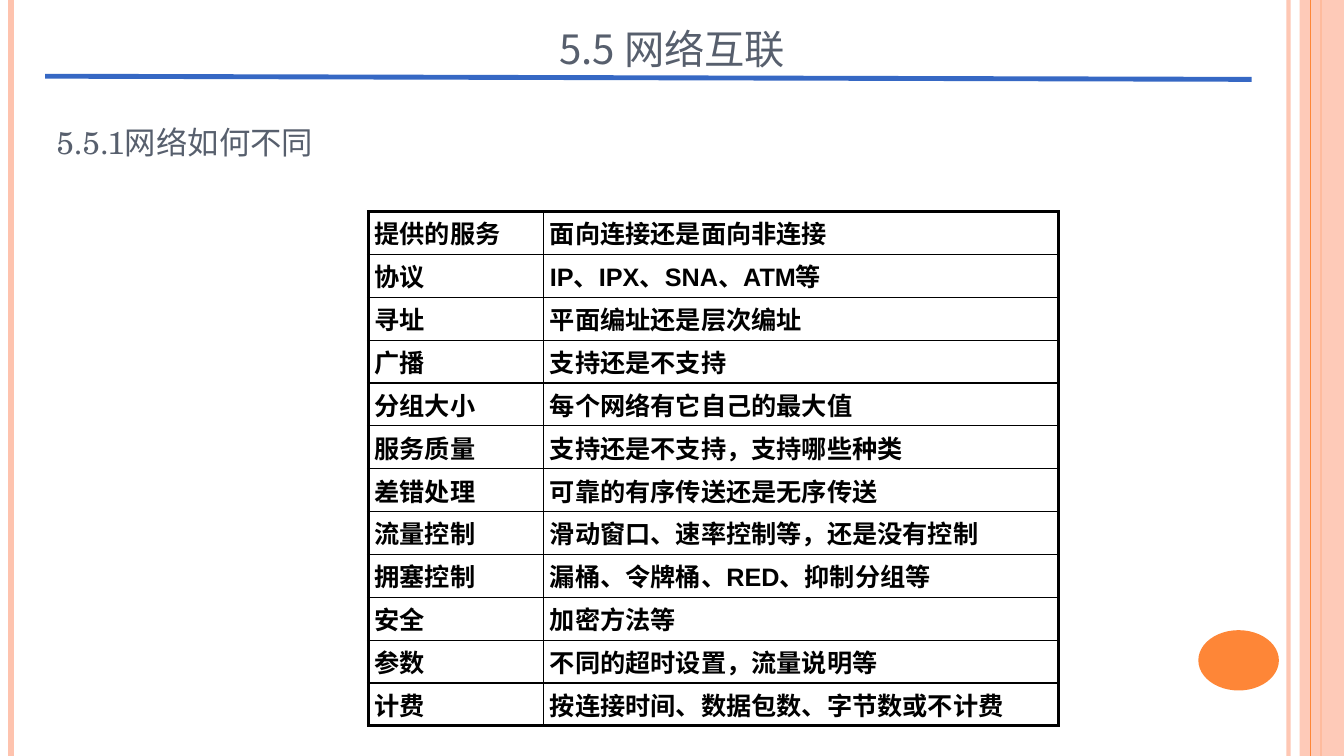
import pptx
import pptx.dml.color
import pptx.enum.shapes
import pptx.enum.text
import pptx.oxml.ns
import pptx.util
from lxml import etree
from pptx.util import Cm

COLOURS = {
    "pale": "FEC3AE",
    "orange": "FE8637",
    "heading": "575F6D",
    "rule": "3668C4",
    "black": "000000",
}
CHINESE_FONT = "Noto Sans CJK SC"
DIFFERENCES = [
    ("提供的服务", "面向连接还是面向非连接"),
    ("协议", "IP、IPX、SNA、ATM等"),
    ("寻址", "平面编址还是层次编址"),
    ("广播", "支持还是不支持"),
    ("分组大小", "每个网络有它自己的最大值"),
    ("服务质量", "支持还是不支持，支持哪些种类"),
    ("差错处理", "可靠的有序传送还是无序传送"),
    ("流量控制", "滑动窗口、速率控制等，还是没有控制"),
    ("拥塞控制", "漏桶、令牌桶、RED、抑制分组等"),
    ("安全", "加密方法等"),
    ("参数", "不同的超时设置，流量说明等"),
    ("计费", "按连接时间、数据包数、字节数或不计费"),
]


def add_xml(parent, tag, **attributes):
    return etree.SubElement(parent, pptx.oxml.ns.qn(tag), attributes)


def paint(colour_format, name):
    colour_format.rgb = pptx.dml.color.RGBColor.from_string(COLOURS[name])


def set_opacity(element, percent):
    for colour in element.iter(pptx.oxml.ns.qn("a:srgbClr")):
        add_xml(colour, "a:alpha", val=str(percent * 1000))


def add_span(para, text, size, font, colour, bold=False, small_caps=False):
    span = para.add_run()
    span.text = text
    span.font.size = pptx.util.Pt(size)
    span.font.name = font
    span.font.bold = bold
    paint(span.font.color, colour)
    properties = span._r.get_or_add_rPr()
    add_xml(properties, "a:ea", typeface=CHINESE_FONT)
    if small_caps:
        properties.set("cap", "small")


def add_line(page, start, end, colour, width):
    line = page.shapes.add_connector(
        pptx.enum.shapes.MSO_CONNECTOR.STRAIGHT, *map(Cm, start + end))
    paint(line.line.fill_format.color if hasattr(line.line, "fill_format")
          else line.line.color, colour)
    line.line.width = pptx.util.Pt(width)
    add_xml(line._element.spPr, "a:effectLst")
    return line


def add_plain_shape(page, kind, box, colour):
    shape = page.shapes.add_shape(kind, *map(Cm, box))
    shape.shadow.inherit = False
    shape.fill.solid()
    paint(shape.fill.fore_color, colour)
    shape.line.fill.background()
    return shape


def add_frame(page, box):
    left, top, width, height = box
    right, bottom = left + width, top + height

    def add_stripe(x, colour, weight):
        return add_line(page, (x, top), (x, bottom), colour, weight)

    set_opacity(add_stripe(right - 1.4, "pale", 3)._element, 93)
    add_stripe(left + 0.28, "pale", 4.5)
    add_stripe(right - 0.57, "orange", 1.5)
    shapes = pptx.enum.shapes.MSO_SHAPE
    band = add_plain_shape(
        page, shapes.RECTANGLE, (right - 1.12, top, 1.12, height), "pale")
    set_opacity(band._element, 87)
    add_stripe(right - 0.84, "orange", 0.75)
    add_plain_shape(
        page, shapes.OVAL, (right - 3.67, bottom - 3.17, 2.03, 1.52), "orange")


def add_header(page, box):
    left, top, width, height = box
    header = page.shapes.add_textbox(*map(Cm, box))
    frame = header.text_frame
    frame.word_wrap = True
    frame.vertical_anchor = pptx.enum.text.MSO_ANCHOR.BOTTOM
    para = frame.paragraphs[0]
    para.alignment = pptx.enum.text.PP_ALIGN.CENTER
    para.line_spacing = 1.5
    add_span(para, "5.5 网络互联", 36, CHINESE_FONT, "heading", small_caps=True)
    bottom = top + height
    add_line(page, (left - 4.5, bottom - 0.08),
             (left + width + 3.3, bottom), "rule", 3.5)


def add_section_title(page, box):
    title = page.shapes.title
    title.left, title.top, title.width, title.height = map(Cm, box)
    frame = title.text_frame
    frame.word_wrap = True
    frame.auto_size = pptx.enum.text.MSO_AUTO_SIZE.NONE
    frame.vertical_anchor = pptx.enum.text.MSO_ANCHOR.BOTTOM
    para = frame.paragraphs[0]
    para.alignment = pptx.enum.text.PP_ALIGN.LEFT
    add_span(para, "5.5.1网络如何不同", 28, "TeX Gyre Schola", "heading",
             small_caps=True)


def set_border(cell, side, width):
    border = add_xml(cell._tc.get_or_add_tcPr(), "a:ln" + side,
                     w=str(pptx.util.Pt(width)))
    fill = add_xml(border, "a:solidFill")
    add_xml(fill, "a:srgbClr", val=COLOURS["black"])


def add_differences(page, box):
    left, top, width, height = box
    last_row = len(DIFFERENCES) - 1
    table = page.shapes.add_table(
        len(DIFFERENCES), 2, *map(Cm, box)).table
    table.first_row = False
    table.horz_banding = False
    label_width = 4.42
    table.columns[0].width = Cm(label_width)
    table.columns[1].width = Cm(width - label_width)
    for row, texts in enumerate(DIFFERENCES):
        table.rows[row].height = Cm(height / len(DIFFERENCES))
        for column, text in enumerate(texts):
            cell = table.cell(row, column)
            cell.margin_left = cell.margin_right = Cm(0.16)
            cell.margin_top = cell.margin_bottom = Cm(0.08)
            outer = {"L": column == 0, "R": column == 1,
                     "T": row == 0, "B": row == last_row}
            for side, is_outer in outer.items():
                set_border(cell, side, 2.25 if is_outer else 1)
            cell.fill.background()
            add_span(cell.text_frame.paragraphs[0], text, 18, "Arial",
                     "black", bold=True)


def main():
    deck = pptx.Presentation()
    deck.slide_width, deck.slide_height = Cm(33.87), Cm(19.05)
    page = deck.slides.add_slide(deck.slide_layouts[5])
    add_frame(page, (0, 0, 33.87, 19.05))
    add_section_title(page, (1.17, 2.67, 16.2, 1.55))
    add_differences(page, (9.28, 5.33, 17.4, 12.95))
    add_header(page, (5.64, -0.08, 22.6, 2.08))
    deck.save("out.pptx")


if __name__ == "__main__":
    main()
